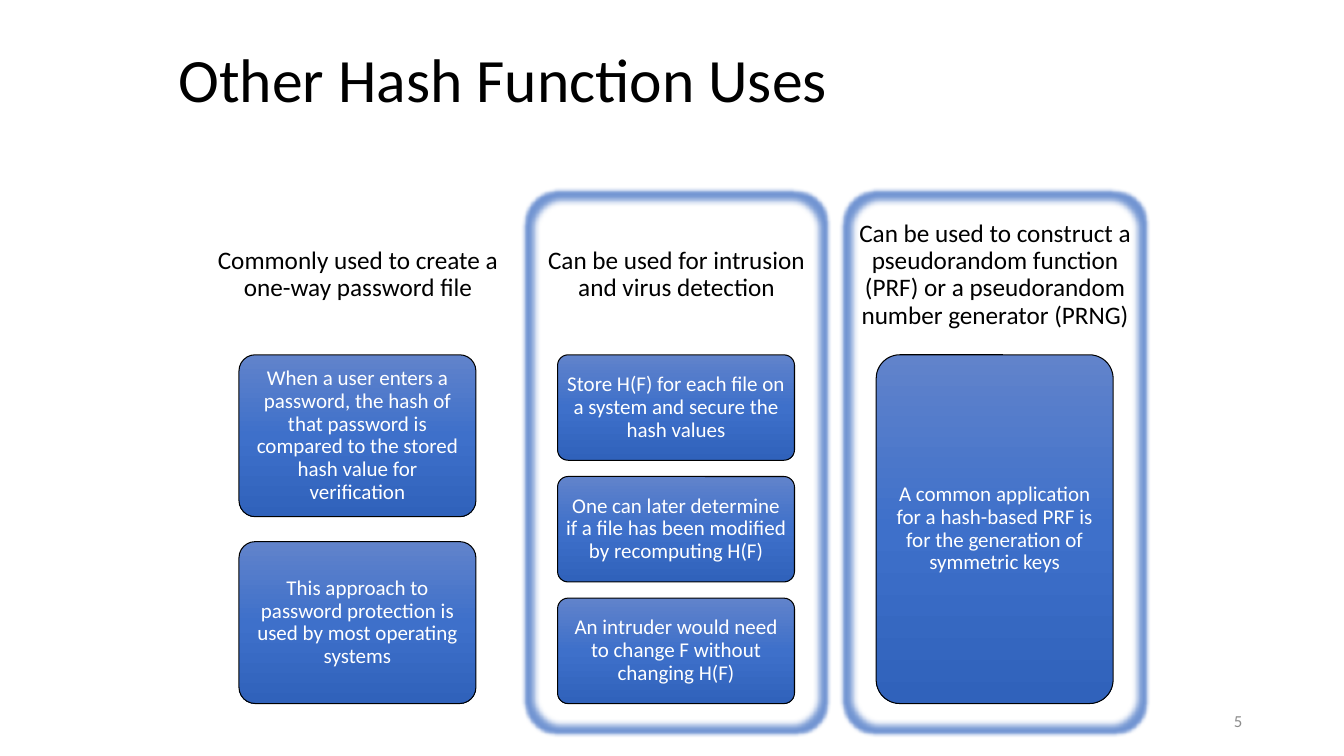
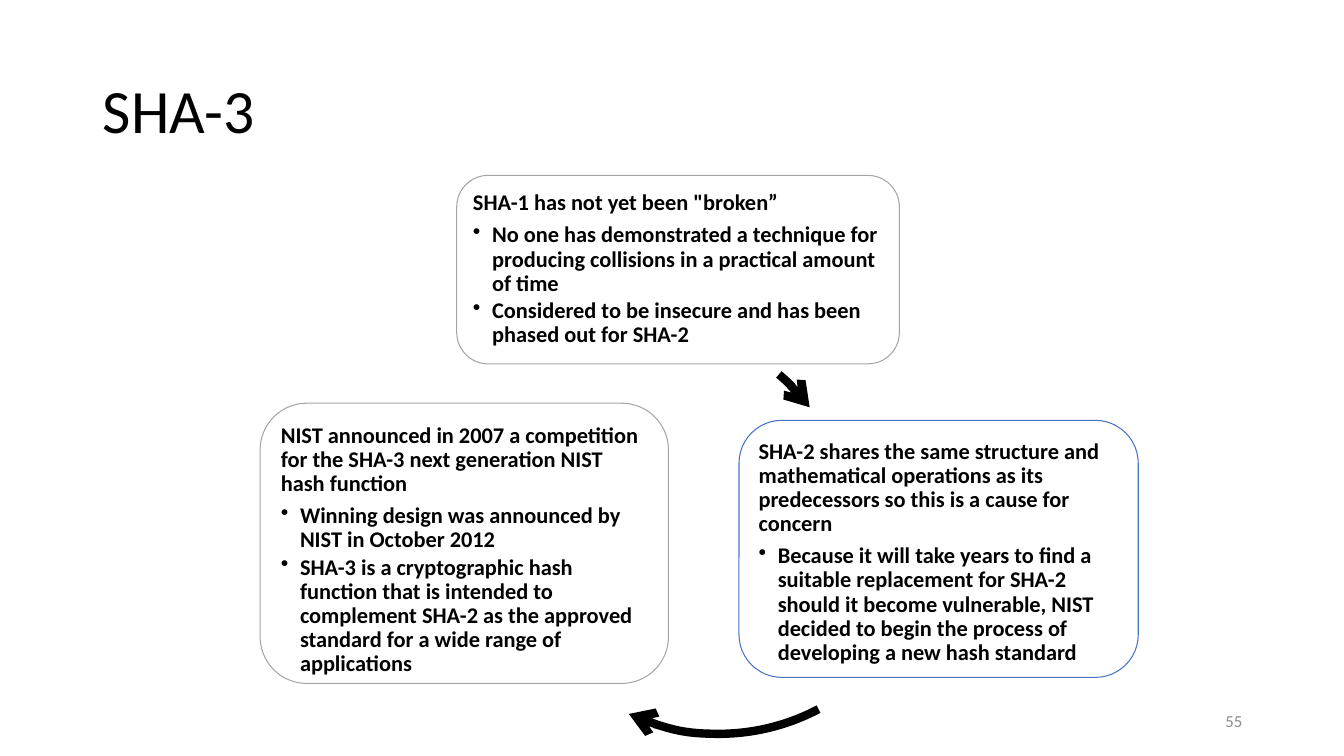
from copy import deepcopy

from lxml import etree
from pptx import Presentation
from pptx.dml.color import RGBColor
from pptx.enum import shapes, text
from pptx.oxml.ns import qn
from pptx.util import Inches, Pt

# Shared style
FONT = "Calibri"
BLACK, WHITE, GREY, BLUE = "000000", "FFFFFF", "A5A5A5", "4472C4"
NUMBER_GREY = "8C8C8C"
CARD_STOPS = [(0, "6183CB"), (0.5, "3E70CA"), (1, "3062BB")]
LEFT, CENTER, RIGHT = text.PP_ALIGN.LEFT, text.PP_ALIGN.CENTER, text.PP_ALIGN.RIGHT
TOP, MIDDLE = text.MSO_ANCHOR.TOP, text.MSO_ANCHOR.MIDDLE
ROUND, ARC = shapes.MSO_SHAPE.ROUNDED_RECTANGLE, shapes.MSO_SHAPE.ARC

# Columns of the first slide: heading, framed, cards
COLUMNS = [
    ("Commonly used to create a one-way password file", False, [
        "When a user enters a password, the hash of that password is compared "
        "to the stored hash value for verification",
        "This approach to password protection is used by most operating systems"]),
    ("Can be used for intrusion and virus detection", True, [
        "Store H(F) for each file on a system and secure the hash values",
        "One can later determine if a file has been modified by recomputing H(F)",
        "An intruder would need to change F without changing H(F)"]),
    ("Can be used to construct a pseudorandom function (PRF) or a pseudorandom "
     "number generator (PRNG)", True, [
        "A common application for a hash-based PRF is for the generation of "
        "symmetric keys"]),
]

# Boxes of the second slide: place, outline, heading, bullets
STEPS = [
    ((4.53, 1.74, 4.39, 1.87), GREY, "SHA-1 has not yet been \"broken\u201d", [
        "No one has demonstrated a technique for producing collisions in a "
        "practical amount of time",
        "Considered to be insecure and has been phased out for SHA-2"]),
    ((7.33, 4.17, 3.96, 2.55), BLUE,
     "SHA-2 shares the same structure and mathematical operations as its "
     "predecessors so this is a cause for concern", [
        "Because it will take years to find a suitable replacement for SHA-2 "
        "should it become vulnerable, NIST decided to begin the process of "
        "developing a new hash standard"]),
    ((2.58, 4, 4.05, 2.78), GREY,
     "NIST announced in 2007 a competition for the SHA-3 next generation NIST "
     "hash function", [
        "Winning design was announced by NIST in October 2012",
        "SHA-3 is a cryptographic hash function that is intended to complement "
        "SHA-2 as the approved standard for a wide range of applications"]),
]


def rgb(color):
    return RGBColor.from_string(color)


def place(box):
    return [Inches(v) for v in box]


def add_xml(parent, tag, **attrs):
    return etree.SubElement(parent, qn(tag), attrs)


def set_frame(tf, anchor=MIDDLE, insets=(0.07, 0.07)):
    tf.word_wrap = True
    tf.auto_size = text.MSO_AUTO_SIZE.NONE
    tf.vertical_anchor = anchor
    tf.margin_left = tf.margin_right = Inches(insets[0])
    tf.margin_top = tf.margin_bottom = Inches(insets[1])


def write(p, words, size=16, color=BLACK, bold=False, align=LEFT, spacing=0.9,
          after=0.0, bullet=False):
    """Fill a paragraph; after is a share of the text size."""
    r = p.add_run()
    r.text = words
    r.font.name, r.font.size, r.font.bold = FONT, Pt(size), bold
    r.font.color.rgb = rgb(color)
    p.alignment, p.line_spacing = align, spacing
    p.space_before, p.space_after = Pt(0), Pt(size * after)
    if bullet:
        p.level = 1
        pPr = p._p.get_or_add_pPr()
        indent = Inches(0.19)
        pPr.set("marL", str(indent))
        pPr.set("indent", str(-indent))
        add_xml(pPr, "a:buChar", char="\u2022")


def add_text(slide, box, words, insets=(0.07, 0.07), **style):
    tf = slide.shapes.add_textbox(*place(box)).text_frame
    set_frame(tf, insets=insets)
    write(tf.paragraphs[0], words, **style)


def add_round_box(slide, box, line=None, corner=0.1):
    sp = slide.shapes.add_shape(ROUND, *place(box))
    sp.adjustments[0] = corner
    sp.shadow.inherit = False
    sp.fill.solid()
    sp.fill.fore_color.rgb = rgb(WHITE)
    if line:
        sp.line.color.rgb = rgb(line)
        sp.line.width = Pt(0.75)
    else:
        sp.line.fill.background()
    return sp


def add_glow_panel(slide, box):
    sp = add_round_box(slide, box)
    effects = sp._element.spPr.find(qn("a:effectLst"))
    radius = str(Inches(0.07))
    glow = add_xml(effects, "a:glow", rad=radius)
    color = add_xml(glow, "a:srgbClr", val=BLUE)
    add_xml(color, "a:alpha", val="75000")
    add_xml(effects, "a:softEdge", rad=radius)


def add_card(slide, box, words):
    sp = add_round_box(slide, box, line=BLACK)
    sp.fill.gradient()
    sp.fill.gradient_angle = 270
    stops = sp._element.spPr.find(".//" + qn("a:gsLst"))
    stops.insert(1, deepcopy(stops[0]))
    for stop, (position, color) in zip(sp.fill.gradient_stops, CARD_STOPS):
        stop.position = position
        stop.color.rgb = rgb(color)
    set_frame(sp.text_frame, insets=(0.04, 0.03))
    write(sp.text_frame.paragraphs[0], words, size=15, color=WHITE, align=CENTER,
          after=0.35)


def add_column(slide, left, heading, framed, cards):
    if framed:
        add_glow_panel(slide, (left, 1.93, 2.94, 5.32))
    add_text(slide, (left, 1.93, 2.94, 1.6), heading, size=18, align=CENTER,
             after=0.35)
    # Cards share one height; each gap is 2/13 of it
    gap_share = 2 / 13
    count = len(cards)
    height = 3.46 / (count + (count - 1) * gap_share)
    for i, words in enumerate(cards):
        top = 3.52 + i * height * (1 + gap_share)
        add_card(slide, (left + 0.29, top, 2.35, height), words)


def add_step(slide, box, line, heading, bullets):
    sp = add_round_box(slide, box, line=line, corner=0.1667)
    tf = sp.text_frame
    set_frame(tf, anchor=TOP)
    write(tf.paragraphs[0], heading, bold=True, after=0.35)
    for words in bullets:
        write(tf.add_paragraph(), words, bold=True, after=0.15, bullet=True)


def add_arc_arrow(slide, left, top, start, end):
    """Arrow along a circle, clockwise between two angles in degrees."""
    sp = slide.shapes.add_shape(ARC, *place((left, top, 4.24, 4.24)))
    for i, angle in enumerate((start, end)):
        sp.adjustments[i] = angle * 0.6
    sp.shadow.inherit = False
    sp.fill.background()
    sp.line.color.rgb = rgb(BLACK)
    sp.line.width = Pt(6)
    add_xml(sp.line._get_or_add_ln(), "a:tailEnd", type="arrow")


def add_slide(prs, title, title_box, number):
    slide = prs.slides.add_slide(prs.slide_layouts[5])
    sp = slide.shapes.title
    sp.left, sp.top, sp.width, sp.height = place(title_box)
    set_frame(sp.text_frame, insets=(0.1, 0.05))
    write(sp.text_frame.paragraphs[0], title, size=44)
    add_text(slide, (9.42, 6.95, 3, 0.4), number, insets=(0.1, 0.05), size=12,
             color=NUMBER_GREY, align=RIGHT, spacing=1.0)
    return slide


def main():
    prs = Presentation()
    prs.slide_width, prs.slide_height = Inches(13.33), Inches(7.5)

    # Hash function uses
    slide = add_slide(prs, "Other Hash Function Uses", (1.67, 0.04, 10, 1.55), "5")
    for i, column in enumerate(COLUMNS):
        add_column(slide, 2.08 + 3.16 * i, *column)

    # SHA-3
    slide = add_slide(prs, "SHA-3", (0.92, 0.4, 11.5, 1.45), "55")
    for step in STEPS:
        add_step(slide, *step)
    add_arc_arrow(slide, 4.22, 3.2, 310.8, 322.9)
    add_arc_arrow(slide, 5.01, 3.04, 62.2, 114.9)

    prs.save("out.pptx")


main()
